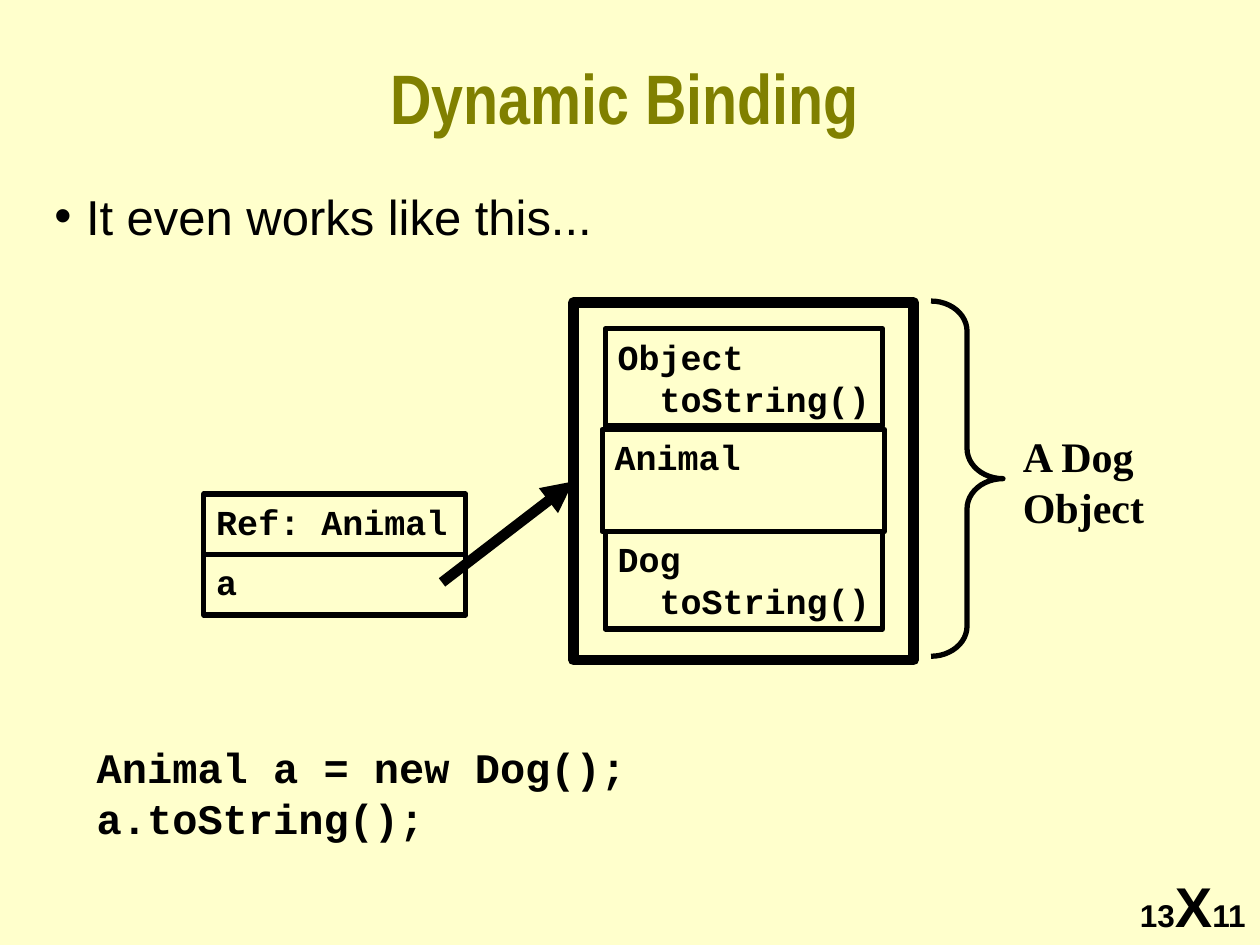
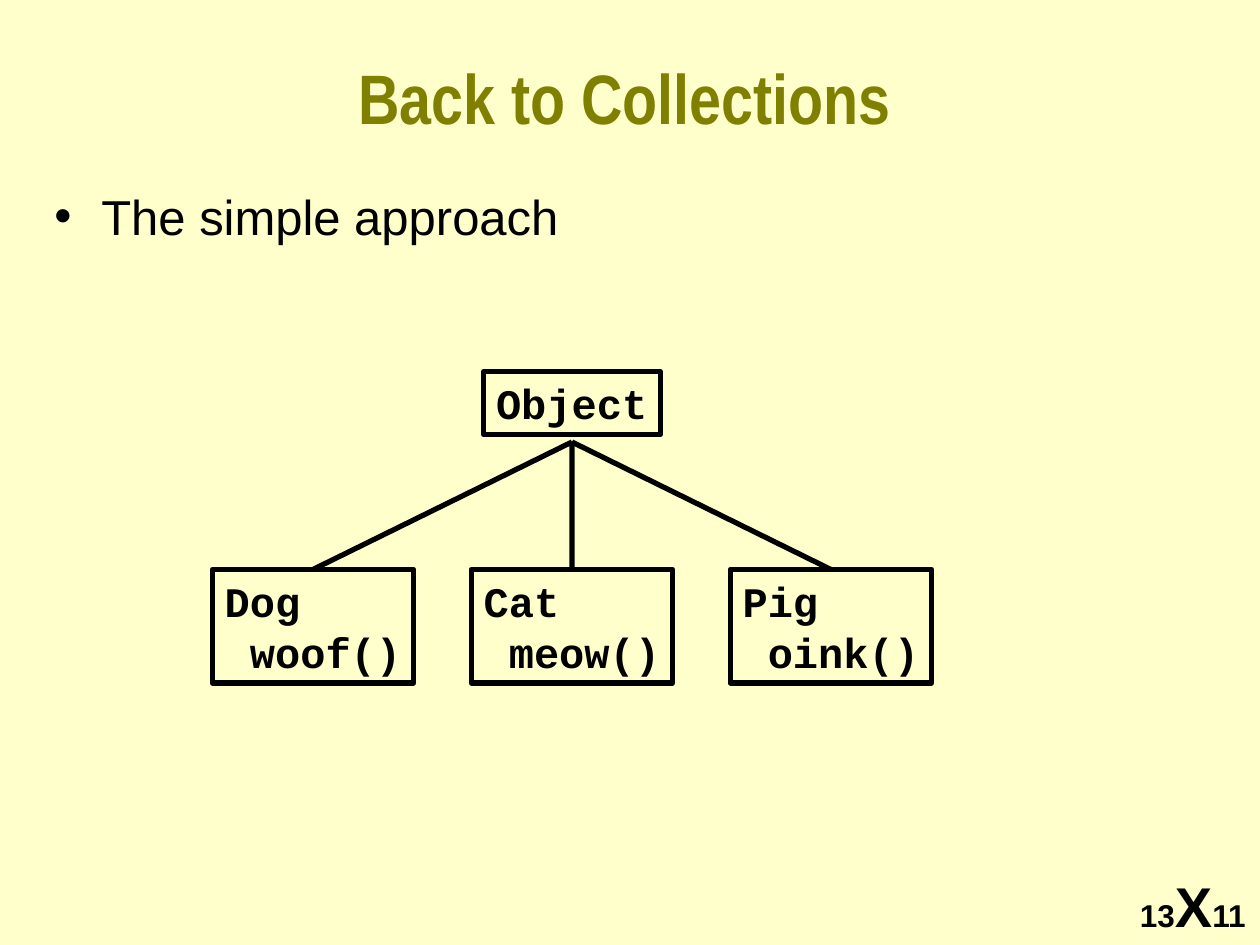
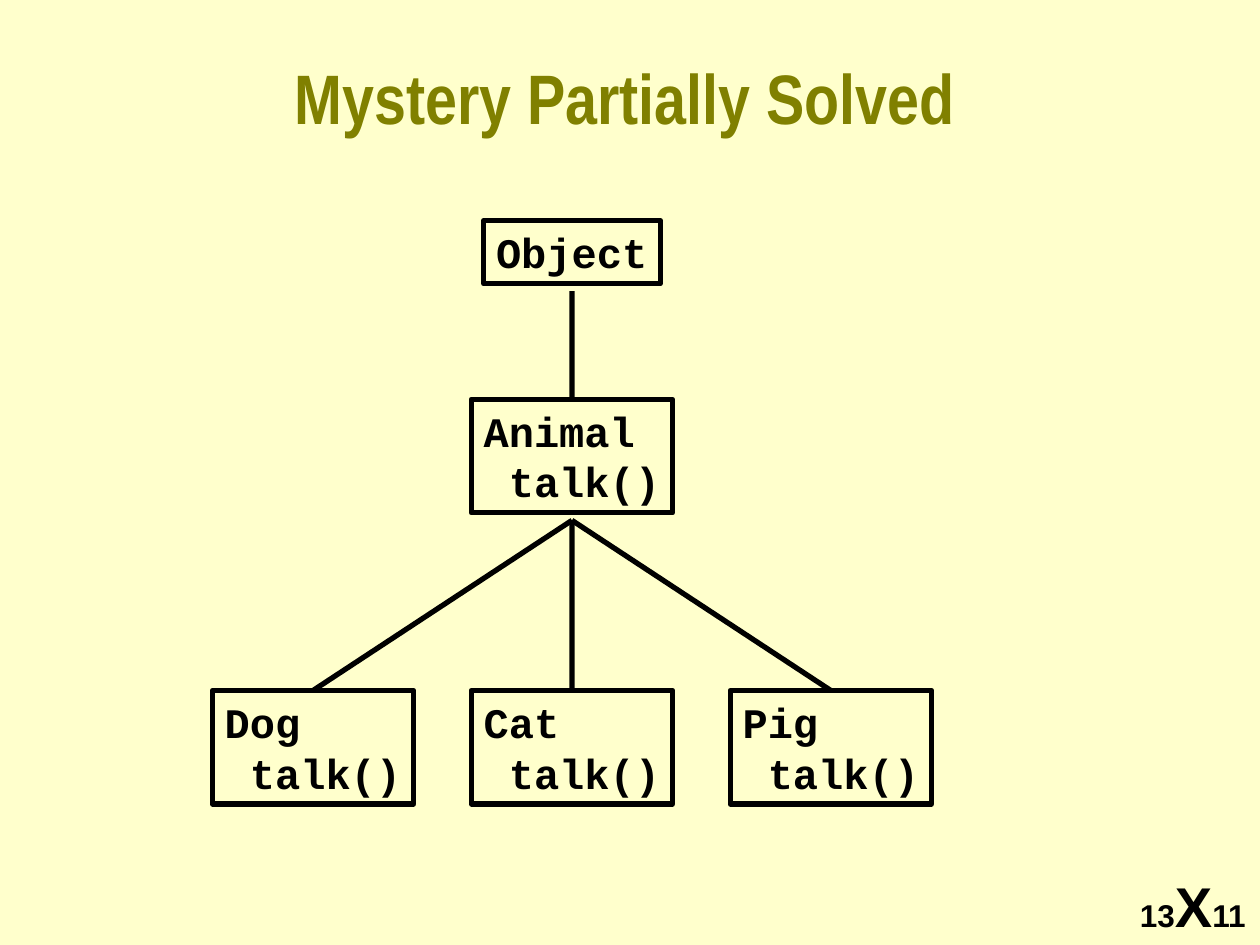
from pptx import Presentation
from pptx.dml.color import RGBColor
from pptx.enum.shapes import MSO_CONNECTOR, MSO_SHAPE
from pptx.enum.text import MSO_ANCHOR, MSO_AUTO_SIZE, PP_ALIGN
from pptx.util import Cm, Pt
from pptx.oxml.ns import qn
from lxml.etree import SubElement

# Shared style
PAPER, INK, OLIVE = "FFFFCC", "000000", "808000"
SANS, NARROW, CODE, SERIF = "Arial", "Arial Narrow", "Courier New", "Times New Roman"
THIN, THICK = 3, 6
TITLE_AND_BODY, TITLE_ONLY = 1, 5

# Class tree measures, in centimetres
NODE_WIDTH, NODE_HEIGHT = 4.06, 2.29
ROOT_WIDTH, ROOT_HEIGHT = 3.56, 1.27
COLUMN_STEP = 5.22
BRANCH_GAP = 0.15


def colour(hex_string):
    return RGBColor.from_string(hex_string)


def style_font(font, name, size, bold=True, ink=INK):
    font.name, font.size, font.bold = name, Pt(size), bold
    font.color.rgb = colour(ink)


def place(shape, left, top, width, height):
    shape.left, shape.top = Cm(left), Cm(top)
    shape.width, shape.height = Cm(width), Cm(height)


def write_lines(shape, lines, font_name, size):
    frame = shape.text_frame
    frame.word_wrap = True
    frame.margin_right = 0
    frame.vertical_anchor = MSO_ANCHOR.TOP
    for index, line in enumerate(lines):
        para = frame.paragraphs[0] if index == 0 else frame.add_paragraph()
        para.text = line
        para.alignment = PP_ALIGN.LEFT
        style_font(para.font, font_name, size)


def add_text(page, lines, left, top, width, height, font_name=CODE, size=24):
    box = page.shapes.add_textbox(Cm(left), Cm(top), Cm(width), Cm(height))
    write_lines(box, lines, font_name, size)


def add_outline(page, kind, left, top, width, height, weight=THIN):
    shape = page.shapes.add_shape(kind, Cm(left), Cm(top), Cm(width), Cm(height))
    shape.shadow.inherit = False
    shape.fill.background()
    shape.line.color.rgb = colour(INK)
    shape.line.width = Pt(weight)
    return shape


def add_class_box(page, lines, left, top, width, height, size=24):
    box = add_outline(page, MSO_SHAPE.RECTANGLE, left, top, width, height)
    write_lines(box, lines, CODE, size)
    return box


def add_link(page, start_x, start_y, target, site, weight=THIN):
    """Draw a line from a free point to the middle of a side of target."""
    link = page.shapes.add_connector(
        MSO_CONNECTOR.STRAIGHT, start_x, start_y, target.left, target.top)
    link.end_connect(target, site)
    link.line.color.rgb = colour(INK)
    link.line.width = Pt(weight)
    SubElement(link._element.spPr, qn("a:effectLst"))
    return link


# Title, footer and list
def add_page(deck, layout, title):
    page = deck.slides.add_slide(deck.slide_layouts[layout])
    heading = page.shapes.title
    place(heading, 0.84, 0.84, 23.5, 2.21)
    heading.text_frame.text = title
    heading.text_frame.auto_size = MSO_AUTO_SIZE.NONE
    heading.text_frame.vertical_anchor = MSO_ANCHOR.MIDDLE
    para = heading.text_frame.paragraphs[0]
    para.alignment = PP_ALIGN.CENTER
    style_font(para.font, NARROW, 40, ink=OLIVE)
    add_footer(page, 22.73, 17.45)
    return page


def add_footer(page, left, top):
    box = page.shapes.add_textbox(Cm(left), Cm(top), Cm(2.67), Cm(1.6))
    box.text_frame.word_wrap = True
    box.text_frame.margin_right = 0
    para = box.text_frame.paragraphs[0]
    for text, size in (("13", 18), ("X", 32), ("11", 18)):
        span = para.add_run()
        span.text = text
        style_font(span.font, SANS, size)


def fill_body(page, text, width, indent):
    body = page.placeholders[1]
    place(body, 0.84, 3.63, width, 2.34)
    body.text_frame.text = text
    body.text_frame.auto_size = MSO_AUTO_SIZE.NONE
    para = body.text_frame.paragraphs[0]
    properties = para._p.get_or_add_pPr()
    properties.set("marL", str(Cm(indent)))
    properties.set("indent", str(-Cm(indent)))
    para.space_before = Pt(0)
    style_font(para.font, SANS, 28, bold=False)


# Object diagram
def add_dog_object(page, left, top):
    frame = add_outline(page, MSO_SHAPE.RECTANGLE, left, top, 6.86, 7.21, THICK)
    parts = (
        (["Object", "  toString()"], 0.64, 0.53, 5.59, 1.96),
        (["Animal"], 0.58, 2.56, 5.69, 2.06),
        (["Dog", "  toString()"], 0.64, 4.62, 5.59, 1.96),
    )
    for lines, across, down, width, height in parts:
        add_class_box(page, lines, left + across, top + down, width, height, 20)
    brace = add_outline(page, MSO_SHAPE.RIGHT_BRACE, left + 7.21, top - 0.03, 1.45, 7.16)
    brace.adjustments[0] = 0.42
    add_text(page, ["A Dog", "Object"], left + 8.81, top + 2.46, 3, 2.29, SERIF)
    return frame


def add_reference(page, left, top, target):
    width, height = 5.28, 1.22
    for row, text in enumerate(("Ref: Animal", "a")):
        add_class_box(page, [text], left, top + row * height, width, height, 20)
    arrow = add_link(page, Cm(left + 4.8), Cm(top + 1.78), target, 1, THICK)
    SubElement(arrow.line._get_or_add_ln(), qn("a:tailEnd"), type="triangle")


# Class tree
def add_root(page, centre, top):
    return add_class_box(
        page, ["Object"], centre - ROOT_WIDTH / 2, top, ROOT_WIDTH, ROOT_HEIGHT)


def add_children(page, parent, classes, centre, top):
    """Place a centred row of classes and link each to the parent above."""
    children = []
    for index, lines in enumerate(classes):
        offset = (index - (len(classes) - 1) / 2) * COLUMN_STEP
        left = centre + offset - NODE_WIDTH / 2
        child = add_class_box(page, lines, left, top, NODE_WIDTH, NODE_HEIGHT)
        start_y = parent.top + parent.height + Cm(BRANCH_GAP)
        add_link(page, Cm(centre), start_y, child, 0)
        children.append(child)
    return children


# Slides
def build_binding_page(deck):
    page = add_page(deck, TITLE_AND_BODY, "Dynamic Binding")
    fill_body(page, "It even works like this...", 15.04, 0.64)
    dog = add_dog_object(page, 11.56, 6.1)
    add_reference(page, 4.11, 9.96, dog)
    add_text(page, ["Animal a = new Dog();", "a.toString();"], 1.7, 14.83, 11.5, 2.29)


def build_collections_page(deck, centre):
    page = add_page(deck, TITLE_AND_BODY, "Back to Collections")
    fill_body(page, "The simple approach", 11.73, 0.95)
    root = add_root(page, centre, 7.49)
    animals = (["Dog", " woof()"], ["Cat", " meow()"], ["Pig", " oink()"])
    add_children(page, root, animals, centre, 11.48)


def build_mystery_page(deck, centre):
    page = add_page(deck, TITLE_ONLY, "Mystery Partially Solved")
    root = add_root(page, centre, 4.45)
    [animal] = add_children(page, root, [["Animal", " talk()"]], centre, 8.05)
    animals = [[name, " talk()"] for name in ("Dog", "Cat", "Pig")]
    add_children(page, animal, animals, centre, 13.92)


def main():
    deck = Presentation()
    deck.slide_width, deck.slide_height = Cm(25.4), Cm(19.05)
    background = deck.slide_master.background.fill
    background.solid()
    background.fore_color.rgb = colour(PAPER)
    tree_centre = 11.53
    build_binding_page(deck)
    build_collections_page(deck, tree_centre)
    build_mystery_page(deck, tree_centre)
    deck.save("out.pptx")


if __name__ == "__main__":
    main()
